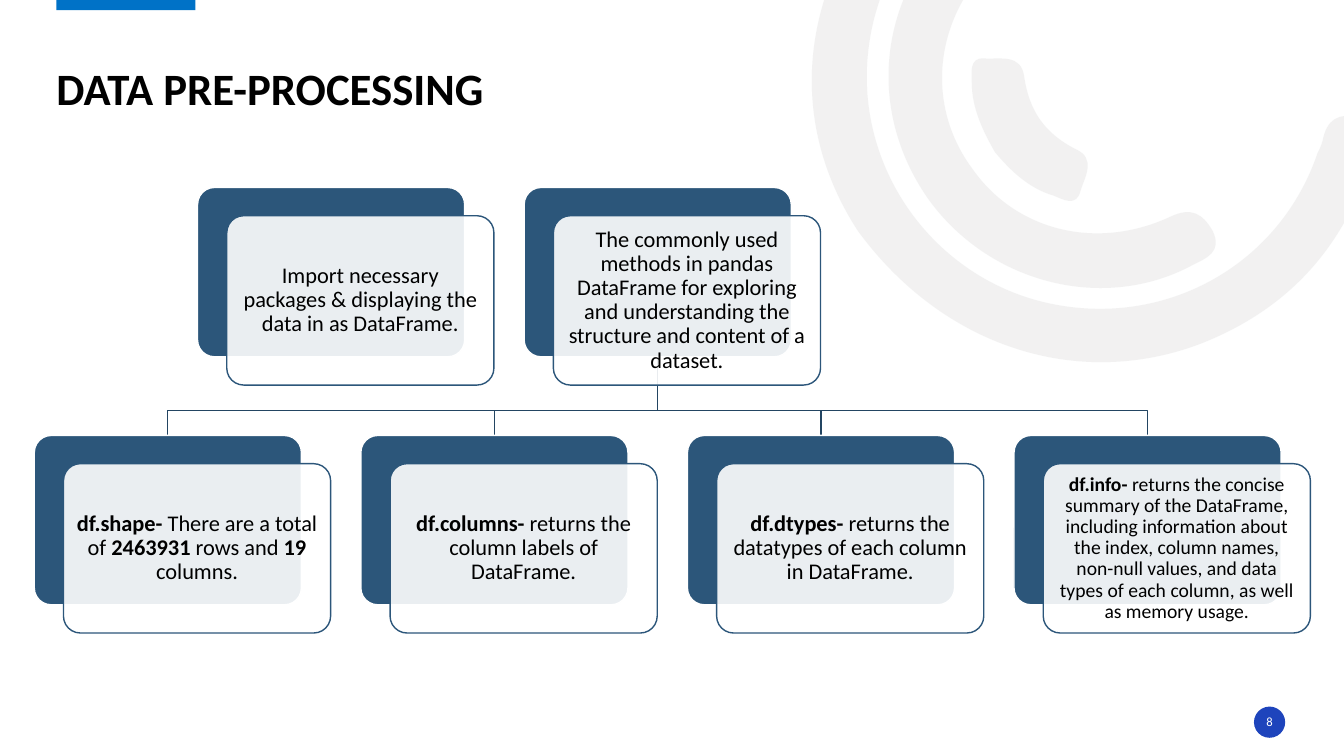
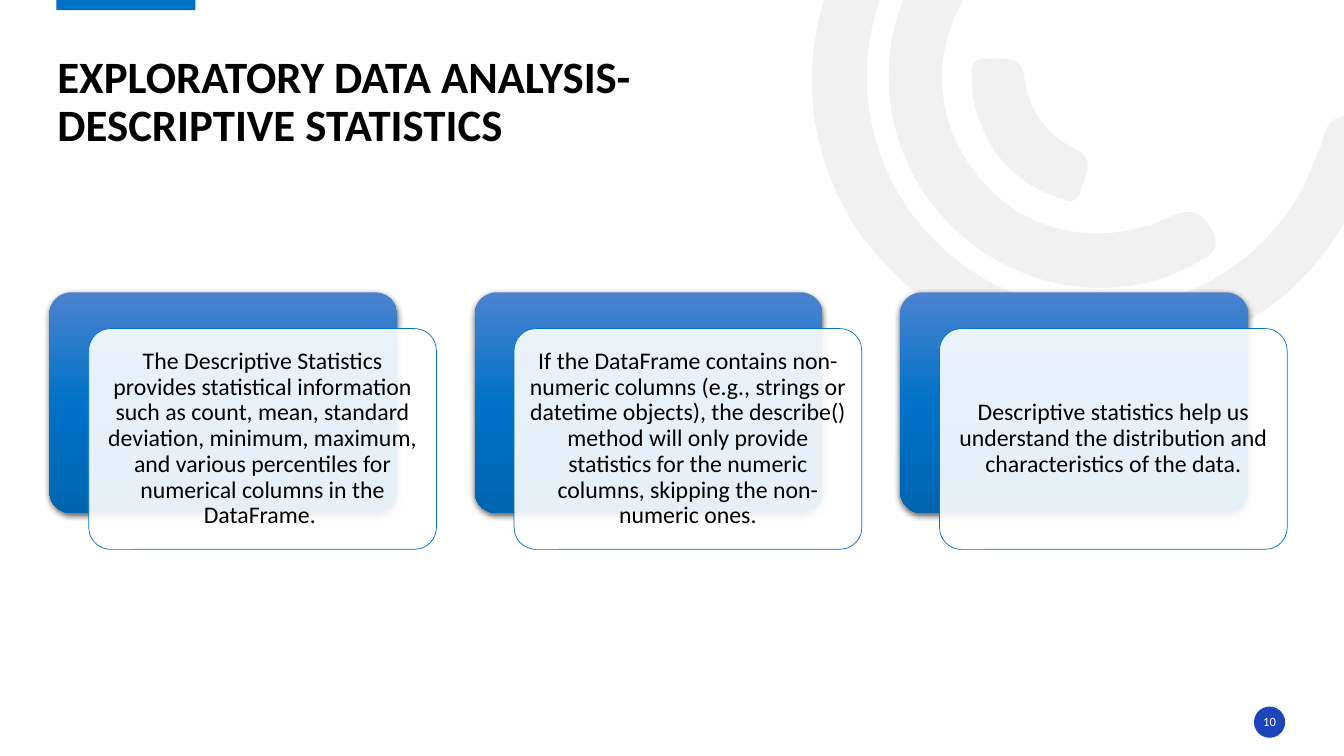
from copy import deepcopy
from dataclasses import dataclass
from math import cos, radians, sin

from lxml import etree
from pptx import Presentation
from pptx.dml.color import RGBColor
from pptx.enum.shapes import MSO_SHAPE
from pptx.enum.text import MSO_ANCHOR, PP_ALIGN
from pptx.oxml.ns import qn
from pptx.shapes.autoshape import Shape
from pptx.slide import Slide
from pptx.text.text import TextFrame
from pptx.util import Inches, Pt

RECT = MSO_SHAPE.RECTANGLE
ROUNDED = MSO_SHAPE.ROUNDED_RECTANGLE
OVAL = MSO_SHAPE.OVAL
MIDDLE = MSO_ANCHOR.MIDDLE
BOTTOM = MSO_ANCHOR.BOTTOM
LEFT = PP_ALIGN.LEFT
CENTER = PP_ALIGN.CENTER
ARC_TURN = 144.2

Point = tuple[float, float]


@dataclass(frozen=True)
class Theme:
    font: str = "Calibri"
    ink: str = "000000"
    paper: str = "FFFFFF"
    ring: str = "E7E6E6"
    tab: str = "0072C7"
    badge: str = "1E44BC"
    navy: str = "2C567A"
    branch: str = "234562"
    gradient: tuple[str, ...] = ("4B83CF", "0072C7", "0065B1")
    ring_opacity: int = 53
    card_opacity: int = 90
    title_size: int = 32
    body_size: int = 16
    dense_size: int = 14
    wide_size: int = 17
    badge_size: int = 9


@dataclass(frozen=True)
class Box:
    left: float
    top: float
    width: float
    height: float

    @property
    def center(self) -> float:
        return self.left + self.width / 2

    @property
    def middle(self) -> float:
        return self.top + self.height / 2

    def moved(self, right: float, down: float) -> "Box":
        return Box(self.left + right, self.top + down, self.width, self.height)


@dataclass(frozen=True)
class Phrase:
    text: str
    bold: bool = False


@dataclass(frozen=True)
class Card:
    phrases: tuple[Phrase, ...]
    size: int


@dataclass(frozen=True)
class CardStyle:
    shift: Point
    outline: str
    outline_width: float
    glossy: bool


@dataclass(frozen=True)
class Arc:
    box: Box
    start: Point
    curves: tuple[tuple[float, ...], ...]


THEME = Theme()
FLAT = CardStyle((0.29, 0.28), THEME.navy, 1, False)
GLOSSY = CardStyle((0.39, 0.36), THEME.tab, 0.5, True)

ARCS = (
    Arc(Box(8.13, -2.02, 4.85, 6), (8.51, 2.29), (
        (7.99, 1.49, 7.87, 0.5, 8.38, -0.5),
        (8.9, -1.52, 9.76, -2.03, 10.9, -2.07),
        (11.05, -2.07, 11.21, -2.1, 11.31, -1.95),
        (11.44, -1.75, 11.27, -1.54, 10.98, -1.54),
        (9.67, -1.54, 8.65, -0.59, 8.6, 0.68),
        (8.56, 1.81, 9.36, 2.81, 10.46, 3.02),
        (11.6, 3.24, 12.7, 2.61, 13.07, 1.52),
        (13.09, 1.48, 13.11, 1.44, 13.12, 1.4),
        (13.16, 1.19, 13.27, 1.11, 13.49, 1.17),
        (13.73, 1.24, 13.67, 1.41, 13.61, 1.56),
        (13.34, 2.45, 12.78, 3.07, 11.91, 3.41),
        (10.7, 3.87, 9.36, 3.45, 8.51, 2.29),
    )),
    Arc(Box(9.01, -0.78, 2.13, 4.26), (9.22, 1.99), (
        (8.62, 1.15, 8.69, 0.07, 9.4, -0.68),
        (9.51, -0.79, 9.62, -0.95, 9.8, -0.78),
        (9.95, -0.64, 9.97, -0.5, 9.79, -0.32),
        (9.25, 0.26, 9.2, 1.08, 9.65, 1.68),
        (10.08, 2.29, 10.88, 2.49, 11.61, 2.15),
        (11.82, 2.05, 11.93, 2.12, 12.03, 2.29),
        (12.13, 2.5, 11.97, 2.56, 11.83, 2.63),
        (10.96, 3.1, 9.83, 2.82, 9.22, 1.99),
    )),
    Arc(Box(9.8, 0.37, 0.78, 1.83), (9.87, 1.51), (
        (9.75, 1.3, 9.64, 1.07, 9.64, 0.82),
        (9.64, 0.73, 9.61, 0.57, 9.76, 0.58),
        (9.92, 0.59, 10.13, 0.53, 10.16, 0.76),
        (10.21, 1.1, 10.36, 1.32, 10.67, 1.48),
        (10.88, 1.57, 10.76, 1.76, 10.72, 1.89),
        (10.68, 2.06, 10.55, 1.98, 10.45, 1.94),
        (10.21, 1.87, 10.03, 1.7, 9.87, 1.51),
    )),
)

OVERVIEW = (
    Card((Phrase("Import necessary packages & displaying the data in as DataFrame."),), THEME.body_size),
    Card((Phrase("The commonly used methods in pandas DataFrame for exploring and understanding "
                 "the structure and content of a dataset."),), THEME.body_size),
)
METHODS = (
    Card((Phrase("df.shape-", True), Phrase(" There are a total of "), Phrase("2463931", True),
          Phrase(" rows and "), Phrase("19", True), Phrase(" columns.")), THEME.body_size),
    Card((Phrase("df.columns-", True), Phrase(" returns the column labels of DataFrame.")),
         THEME.body_size),
    Card((Phrase("df.dtypes-", True), Phrase(" returns the datatypes of each column in DataFrame.")),
         THEME.body_size),
    Card((Phrase("df.info-", True),
          Phrase(" returns the concise summary of the DataFrame, including information about the "
                 "index, column names, non-null values, and data types of each column, as well as "
                 "memory usage.")), THEME.dense_size),
)
STATISTICS = tuple(Card((Phrase(text),), THEME.wide_size) for text in (
    "The Descriptive Statistics provides statistical information such as count, mean, standard "
    "deviation, minimum, maximum, and various percentiles for numerical columns in the DataFrame. ",
    "If the DataFrame contains non-numeric columns (e.g., strings or datetime objects), the "
    "describe() method will only provide statistics for the numeric columns, skipping the "
    "non-numeric ones.",
    "Descriptive statistics help us understand the distribution and characteristics of the data.",
))


def rgb(color: str) -> RGBColor:
    return RGBColor.from_string(color)


def paint(shape: Shape, color: str, opacity: int = 100) -> None:
    shape.shadow.inherit = False
    shape.line.fill.background()
    shape.fill.solid()
    shape.fill.fore_color.rgb = rgb(color)
    if opacity < 100:
        tint = shape._element.spPr.find(f"{qn('a:solidFill')}/{qn('a:srgbClr')}")
        etree.SubElement(tint, qn("a:alpha"), val=str(opacity * 1000))


def paint_glossy(shape: Shape) -> None:
    shape.fill.gradient()
    shape.fill.gradient_angle = 270
    stop_list = shape._element.spPr.find(f"{qn('a:gradFill')}/{qn('a:gsLst')}")
    stop_list.append(deepcopy(stop_list[-1]))
    for index, (stop, color) in enumerate(zip(shape.fill.gradient_stops, THEME.gradient)):
        stop.position = index / 2
        stop.color.rgb = rgb(color)
    effects = shape._element.spPr.find(qn("a:effectLst"))
    shadow = etree.SubElement(effects, qn("a:outerShdw"), blurRad=str(Pt(4.5)),
                              dist=str(Pt(1.5)), dir="5400000", algn="ctr", rotWithShape="0")
    shade = etree.SubElement(shadow, qn("a:srgbClr"), val=THEME.ink)
    etree.SubElement(shade, qn("a:alpha"), val="63000")


def outline(shape: Shape, color: str, width: float) -> None:
    shape.line.color.rgb = rgb(color)
    shape.line.width = Pt(width)


def add_block(slide: Slide, kind: int, box: Box, color: str, opacity: int = 100) -> Shape:
    block = slide.shapes.add_shape(kind, Inches(box.left), Inches(box.top),
                                   Inches(box.width), Inches(box.height))
    paint(block, color, opacity)
    return block


def write(frame: TextFrame, phrases: tuple[Phrase, ...], size: int, color: str = THEME.ink,
          align: int = CENTER, anchor: int = MIDDLE, margin: float = 0) -> None:
    frame.word_wrap = True
    frame.vertical_anchor = anchor
    frame.margin_left = frame.margin_right = Inches(margin)
    frame.margin_top = frame.margin_bottom = Inches(margin)
    paragraph = frame.paragraphs[0]
    paragraph.alignment = align
    paragraph.line_spacing = 0.9
    paragraph.font.name = THEME.font
    paragraph.font.size = Pt(size)
    paragraph.font.color.rgb = rgb(color)
    for phrase in phrases:
        run = paragraph.add_run()
        run.text = phrase.text
        if phrase.bold:
            run.font.bold = True


def add_title(slide: Slide, title: str, box: Box) -> None:
    frame = slide.shapes.add_textbox(Inches(box.left), Inches(box.top),
                                     Inches(box.width), Inches(box.height)).text_frame
    write(frame, (), THEME.title_size, align=LEFT, anchor=BOTTOM)
    frame.paragraphs[0].font.bold = True
    frame.paragraphs[0].text = title


def add_arc(slide: Slide, arc: Arc) -> None:
    box = arc.box
    across, along = cos(radians(ARC_TURN)), sin(radians(ARC_TURN))

    def add_point(parent: etree._Element, x: float, y: float) -> None:
        dx, dy = x - box.center, y - box.middle
        etree.SubElement(parent, qn("a:pt"),
                         x=str(Inches(dx * across + dy * along + box.width / 2)),
                         y=str(Inches(dy * across - dx * along + box.height / 2)))

    builder = slide.shapes.build_freeform(Inches(box.left), Inches(box.top))
    builder.add_line_segments([(Inches(box.left + box.width), Inches(box.top + box.height))])
    ring = builder.convert_to_shape()
    contour = ring._element.spPr.find(f".//{qn('a:path')}")
    for step in list(contour):
        contour.remove(step)
    add_point(etree.SubElement(contour, qn("a:moveTo")), *arc.start)
    for curve in arc.curves:
        bend = etree.SubElement(contour, qn("a:cubicBezTo"))
        for x, y in zip(curve[::2], curve[1::2]):
            add_point(bend, x, y)
    etree.SubElement(contour, qn("a:close"))
    ring.rotation = ARC_TURN
    paint(ring, THEME.ring, THEME.ring_opacity)


def add_page(deck: Presentation, number: int, title: str, title_box: Box) -> Slide:
    slide = deck.slides.add_slide(deck.slide_layouts[6])
    for arc in ARCS:
        add_arc(slide, arc)
    add_block(slide, RECT, Box(0.56, -0.02, 1.38, 0.12), THEME.tab)
    badge = add_block(slide, OVAL, Box(12.44, 7.01, 0.31, 0.31), THEME.badge)
    write(badge.text_frame, (Phrase(str(number)),), THEME.badge_size, THEME.paper)
    add_title(slide, title, title_box)
    return slide


def add_card(slide: Slide, card: Card, box: Box, style: CardStyle) -> None:
    back = add_block(slide, ROUNDED, box, THEME.navy)
    front = add_block(slide, ROUNDED, box.moved(*style.shift), THEME.paper, THEME.card_opacity)
    back.adjustments[0] = front.adjustments[0] = 0.1
    if style.glossy:
        paint_glossy(back)
    else:
        outline(back, THEME.paper, 1)
    outline(front, style.outline, style.outline_width)
    write(front.text_frame, card.phrases, card.size, margin=0.07)


def add_branch(slide: Slide, parent: Box, child: Box) -> None:
    bus = child.top - 0.25
    builder = slide.shapes.build_freeform(Inches(parent.center), Inches(parent.top + parent.height))
    builder.add_line_segments([(Inches(x), Inches(y)) for x, y in (
        (parent.center, bus), (child.center, bus), (child.center, child.top))], close=False)
    branch = builder.convert_to_shape()
    branch.shadow.inherit = False
    branch.fill.background()
    outline(branch, THEME.branch, 1)


def row(first: Box, pitch: float, count: int) -> list[Box]:
    return [first.moved(pitch * index, 0) for index in range(count)]


def add_preprocessing(deck: Presentation) -> None:
    slide = add_page(deck, 8, "DATA PRE-PROCESSING", Box(0.56, 0.26, 7.39, 0.88))
    parents = row(Box(1.96, 1.86, 2.65, 1.68), 3.24, len(OVERVIEW))
    children = row(Box(0.34, 4.32, 2.65, 1.68), 3.24, len(METHODS))
    for child in reversed(children):
        add_branch(slide, parents[-1], child)
    for card, box in zip(OVERVIEW + METHODS, parents + children):
        add_card(slide, card, box, FLAT)


def add_statistics(deck: Presentation) -> None:
    slide = add_page(deck, 10, "EXPLORATORY DATA ANALYSIS-\vDESCRIPTIVE STATISTICS",
                     Box(0.57, 0.46, 6.66, 1.04))
    for card, box in zip(STATISTICS, row(Box(0.49, 2.9, 3.45, 2.19), 4.22, len(STATISTICS))):
        add_card(slide, card, box, GLOSSY)


def main() -> None:
    deck = Presentation()
    deck.slide_width, deck.slide_height = Inches(40 / 3), Inches(7.5)
    add_preprocessing(deck)
    add_statistics(deck)
    deck.save("out.pptx")


if __name__ == "__main__":
    main()
